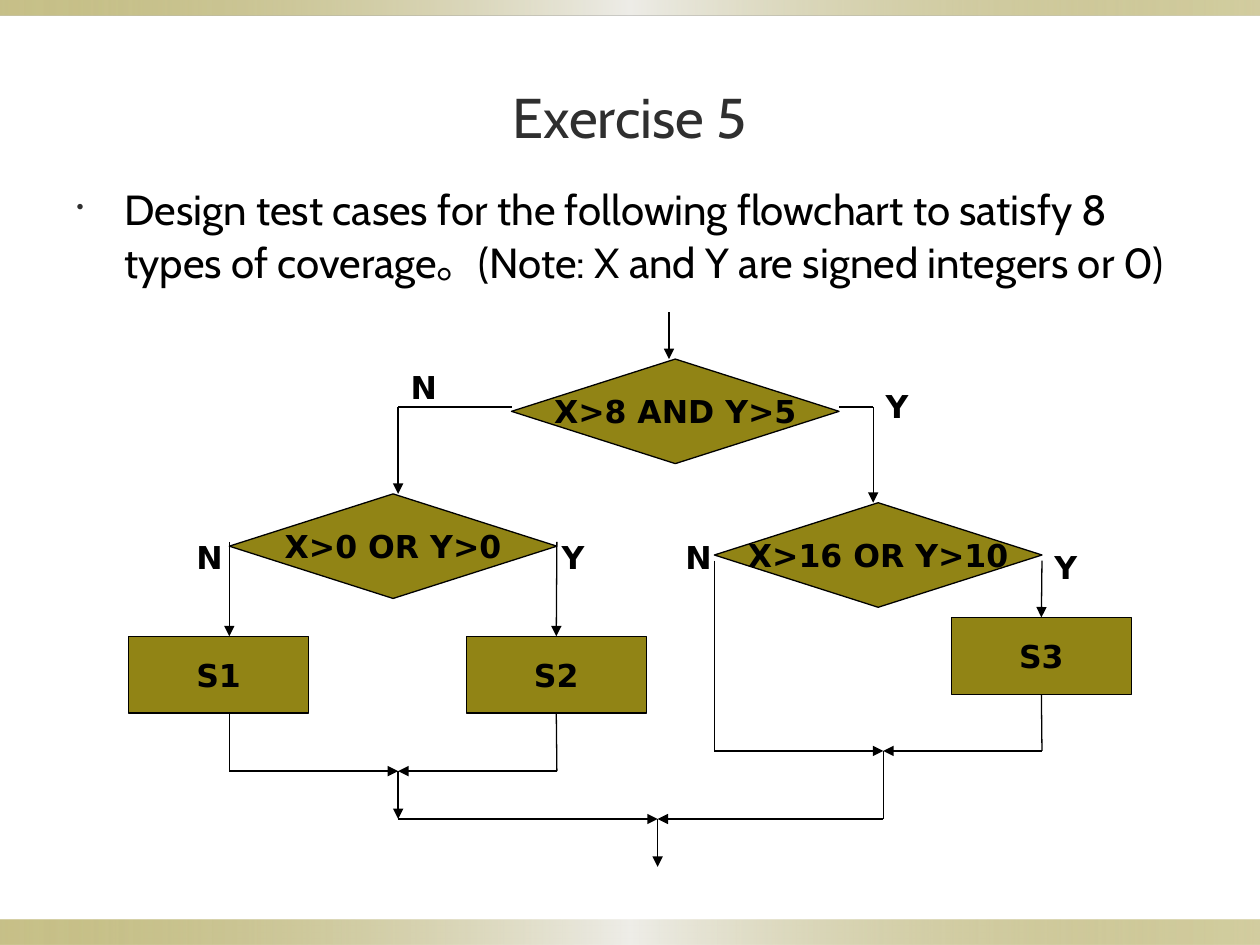
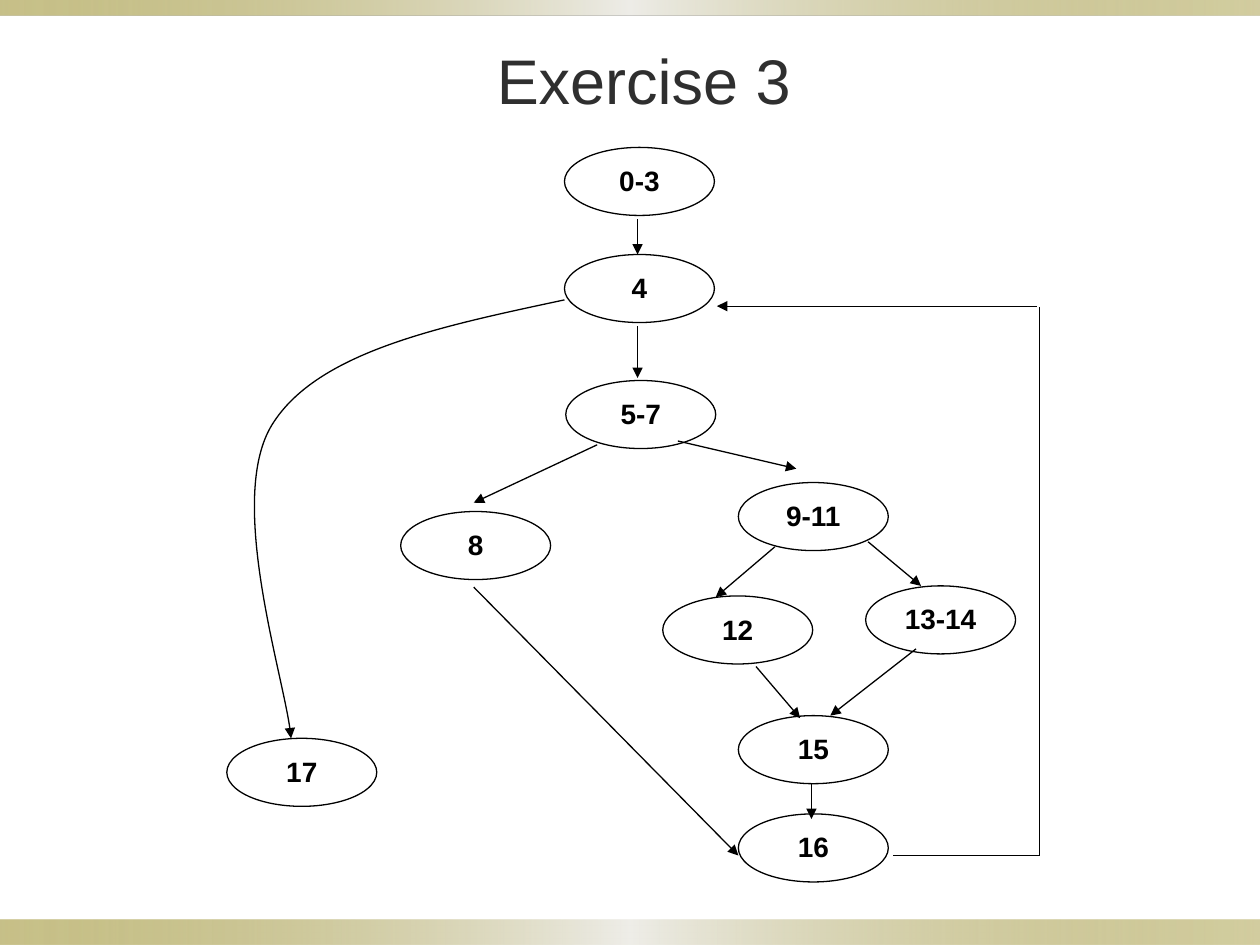
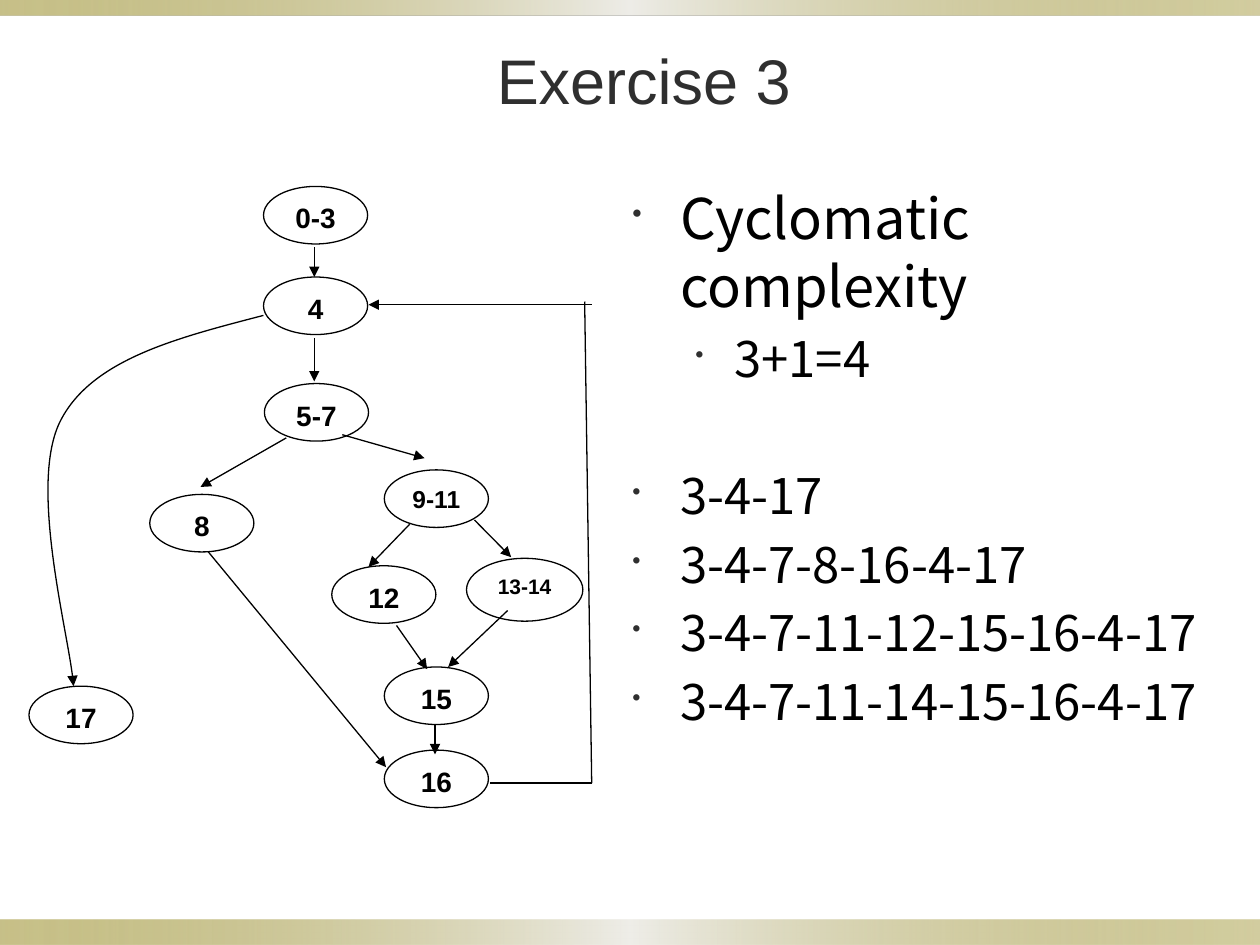
import dataclasses
import itertools

import lxml.etree
import pptx
import pptx.dml.color
import pptx.enum.shapes
import pptx.enum.text
import pptx.oxml
import pptx.oxml.ns
import pptx.util

Inches = pptx.util.Inches
Pt = pptx.util.Pt
qn = pptx.oxml.ns.qn
Shape = pptx.enum.shapes.MSO_SHAPE
Align = pptx.enum.text.PP_ALIGN
Anchor = pptx.enum.text.MSO_ANCHOR


@dataclasses.dataclass(frozen=True)
class Theme:
    gold: str = "918415"
    pale: str = "EEEDE8"
    gray: str = "2F2F2F"
    black: str = "000000"
    white: str = "FFFFFF"
    head: str = "Arial"
    soft: str = "Cabin"
    flow: str = "DejaVu Sans"
    wide: str = "Noto Sans CJK SC"
    rule: float = 0.75
    title: int = 36
    lead: int = 32
    item: int = 28
    note: int = 24
    step: int = 18
    node: int = 16


LOOK = Theme()

# Control-flow graph, in inches from its top left corner at full size
SPAN = (6.45, 5.83)
OVAL = (1.19, 0.54)
NODES = {
    "0-3": (2.68, 0), "4": (2.68, 0.85), "5-7": (2.69, 1.85),
    "8": (1.38, 2.89), "9-11": (4.06, 2.66), "12": (3.46, 3.56),
    "13-14": (5.07, 3.48), "15": (4.06, 4.51), "16": (4.06, 5.29),
    "17": (0, 4.69),
}
EDGES = [
    ((3.26, 0.57), (3.26, 0.85)),
    ((3.26, 1.42), (3.26, 1.83)),
    ((2.94, 2.36), (1.96, 2.82)),
    ((3.58, 2.33), (4.52, 2.55)),
    ((4.35, 3.17), (3.88, 3.57)),
    ((5.09, 3.13), (5.51, 3.48)),
    ((4.2, 4.12), (4.55, 4.53)),
    ((5.47, 3.98), (4.79, 4.51)),
    ((4.64, 5.05), (4.64, 5.33)),
]
EXIT = [(2.68, 1.21), (1.7, 1.42), (0.72, 1.62), (0.36, 2.2),
        (0, 2.78), (0.48, 4.28), (0.51, 4.69)]

# Flowchart, in inches from its top left corner
TESTS = {"X>8 AND Y>5": (3.04, 0.37), "X>0 OR Y>0": (0.8, 1.44),
         "X>16 OR Y>10": (4.65, 1.51)}
STEPS = {"S1": (0, 2.57), "S2": (2.68, 2.57), "S3": (6.53, 2.42)}
STEP = (1.43, 0.61)
SIGNS = [("N", 2.14, 0.39), ("Y", 5.91, 0.54), ("N", 0.44, 1.74),
         ("Y", 3.34, 1.74), ("N", 4.32, 1.74), ("Y", 7.25, 1.82)]
ROUTES = [
    [(4.29, 0), (4.29, 0.37)],
    [(3.04, 0.75), (2.14, 0.75), (2.14, 1.44)],
    [(5.64, 0.75), (5.91, 0.75), (5.91, 1.51)],
    [(0.8, 1.82), (0.8, 2.57)],
    [(3.4, 1.82), (3.4, 2.57)],
    [(7.25, 1.97), (7.25, 2.42)],
    [(0.8, 3.18), (0.8, 3.64), (2.14, 3.64)],
    [(3.4, 3.18), (3.4, 3.64), (2.14, 3.64)],
    [(4.65, 1.97), (4.65, 3.48), (5.99, 3.48)],
    [(7.25, 3.03), (7.25, 3.48), (5.99, 3.48)],
    [(2.14, 3.64), (2.14, 4.02)],
    [(2.14, 4.02), (4.2, 4.02)],
    [(5.99, 3.48), (5.99, 4.02), (4.2, 4.02)],
    [(4.2, 4.02), (4.2, 4.4)],
]


def rgb(code):
    return pptx.dml.color.RGBColor.from_string(code)


def style(para, face, size, color=LOOK.black, bold=False):
    for run in para.runs:
        font = run.font
        font.name, font.size, font.bold = face, Pt(size), bold
        font.color.rgb = rgb(color)
        east = lxml.etree.SubElement(run._r.get_or_add_rPr(), qn("a:ea"))
        east.set("typeface", LOOK.wide)


def write(shape, text, face, size, color=LOOK.black, bold=False,
          wrap=False, anchor=Anchor.MIDDLE, align=Align.CENTER):
    frame = shape.text_frame
    frame.text = text
    frame.word_wrap = wrap
    frame.vertical_anchor = anchor
    frame.paragraphs[0].alignment = align
    style(frame.paragraphs[0], face, size, color, bold)


def stroke(shape, arrow=False):
    shape.line.color.rgb = rgb(LOOK.black)
    shape.line.width = Pt(LOOK.rule)
    if arrow:
        line = shape._element.spPr.find(qn("a:ln"))
        lxml.etree.SubElement(line, qn("a:tailEnd")).set("type", "triangle")


def block(slide, kind, box, fill):
    shape = slide.shapes.add_shape(kind, *map(Inches, box))
    shape.shadow.inherit = False
    shape.fill.solid()
    shape.fill.fore_color.rgb = rgb(fill)
    stroke(shape)
    return shape


def link(slide, start, end, arrow=True):
    kind = pptx.enum.shapes.MSO_CONNECTOR.STRAIGHT
    line = slide.shapes.add_connector(kind, *map(Inches, (*start, *end)))
    stroke(line, arrow)
    lxml.etree.SubElement(line._element.spPr, qn("a:effectLst"))
    return line


def bands(slide):
    """Gold bands along the top and bottom edges."""
    grad = (
        f'<a:gradFill {pptx.oxml.ns.nsdecls("a")} rotWithShape="1"><a:gsLst>'
        f'<a:gs pos="0"><a:srgbClr val="{LOOK.gold}"><a:alpha val="50000"/></a:srgbClr></a:gs>'
        f'<a:gs pos="50000"><a:srgbClr val="{LOOK.pale}"/></a:gs>'
        f'<a:gs pos="100000"><a:srgbClr val="{LOOK.gold}"><a:alpha val="40000"/></a:srgbClr></a:gs>'
        '</a:gsLst><a:lin ang="0" scaled="0"/></a:gradFill>')
    for top, high in ((7.3, 0.2), (0, 0.12)):
        band = slide.shapes.add_shape(
            Shape.RECTANGLE, *map(Inches, (0, top, 10, high)))
        band.shadow.inherit = False
        band.line.fill.background()
        band._element.spPr.insert(2, pptx.oxml.parse_xml(grad))


def title(slide, text, box=(0.86, 0.16, 8.5, 0.94), face=LOOK.head,
          size=LOOK.title):
    area = slide.shapes.add_textbox(*map(Inches, box))
    write(area, text, face, size, LOOK.gray, wrap=True)


def bullets(slide, box, face, items, pitch):
    """List of (text, size, level, space before); pitch maps size to line spacing."""
    frame = slide.shapes.add_textbox(*map(Inches, box)).text_frame
    frame.word_wrap = True
    for place, (text, size, level, gap) in enumerate(items):
        para = frame.add_paragraph() if place else frame.paragraphs[0]
        para.text = text
        left, hang = ((0.38, 0.38), (0.81, 0.31))[level]
        props = para._p.get_or_add_pPr()
        props.set("marL", str(Inches(left)))
        props.set("indent", str(-Inches(hang)))
        tint = lxml.etree.SubElement(props, qn("a:buClr"))
        lxml.etree.SubElement(tint, qn("a:srgbClr")).set("val", LOOK.gray)
        lxml.etree.SubElement(props, qn("a:buSzPct")).set("val", "50000")
        lxml.etree.SubElement(props, qn("a:buChar")).set("char", "•")
        para.level = level
        para.line_spacing = pitch(size)
        if place:
            para.space_before = Pt(gap)
        style(para, face, size)


def chart(slide, left, top):
    """Flowchart with decisions, steps and branch signs."""
    def shift(point):
        return left + point[0], top + point[1]

    for text, spot in TESTS.items():
        test = block(slide, Shape.FLOWCHART_DECISION,
                     (*shift(spot), 2.6, 0.83), LOOK.gold)
        write(test, text, LOOK.flow, LOOK.step, bold=True)

    # Steps, with the points where a line may join them
    joins = []
    for text, (x, y) in STEPS.items():
        step = block(slide, Shape.RECTANGLE, (*shift((x, y)), *STEP), LOOK.gold)
        write(step, text, LOOK.flow, LOOK.step, bold=True)
        mid = x + STEP[0] / 2
        joins += [(step, 0, mid, y), (step, 2, mid, y + STEP[1])]

    for route in ROUTES:
        for start, end in itertools.pairwise(route):
            line = link(slide, shift(start), shift(end), end == route[-1])
            for step, site, x, y in joins:
                for point, join in ((start, line.begin_connect),
                                    (end, line.end_connect)):
                    if abs(point[0] - x) < 0.02 and abs(point[1] - y) < 0.02:
                        join(step, site)

    for text, x, y in SIGNS:
        sign = slide.shapes.add_textbox(
            *map(Inches, (*shift((x, y)), 0.41, 0.42)))
        write(sign, text, LOOK.flow, LOOK.step, bold=True,
              anchor=Anchor.TOP, align=Align.LEFT)


def curve(slide, points):
    """Arrow of cubic curves: a start point, then three points each."""
    spots = [(Inches(x), Inches(y)) for x, y in points]
    draft = slide.shapes.build_freeform(*spots[0])
    draft.add_line_segments(spots[1:], close=False)
    shape = draft.convert_to_shape()
    shape.shadow.inherit = False
    shape.fill.background()
    stroke(shape, True)
    trace = next(shape._element.iter(qn("a:path")))
    legs = trace.findall(qn("a:lnTo"))
    for first in range(0, len(legs), 3):
        bend = lxml.etree.SubElement(trace, qn("a:cubicBezTo"))
        for leg in legs[first:first + 3]:
            bend.append(leg[0])
            trace.remove(leg)


def graph(slide, box, skip, back, sizes=None, ovals=None):
    """Control-flow graph scaled to the box; skip and back are its long edges."""
    left, top, width, height = box
    wide, high = width / SPAN[0], height / SPAN[1]

    def fit(point):
        return left + point[0] * wide, top + point[1] * high

    for text, spot in NODES.items():
        x, y, w, h = (ovals or {}).get(text, (*spot, *OVAL))
        node = block(slide, Shape.OVAL, (*fit((x, y)), w * wide, h * high),
                     LOOK.white)
        write(node, text, LOOK.head, (sizes or {}).get(text, LOOK.node),
              bold=True, anchor=Anchor.TOP)

    for start, end in [*EDGES, skip]:
        link(slide, fit(start), fit(end))
    for start, end in back:
        link(slide, fit(start), fit(end), end == back[-1][1])
    curve(slide, [fit(point) for point in EXIT])


def main():
    deck = pptx.Presentation()
    deck.slide_width, deck.slide_height = Inches(10), Inches(7.5)
    slides = [deck.slides.add_slide(deck.slide_layouts[6]) for _ in range(3)]
    for slide in slides:
        bands(slide)
    task, plain, solved = slides

    # Flowchart task
    title(task, "Exercise 5", (0.5, 0.3, 9, 1.25), LOOK.soft, LOOK.lead)
    bullets(task, (0.51, 1.39, 9, 5.51), LOOK.soft, [
        ("Design test cases for the following flowchart to satisfy 8 types of "
         "coverage。(Note: X and Y are signed integers or 0)", LOOK.note, 0, 0),
    ], lambda size: 1.05)
    chart(task, 1.02, 2.48)

    # Full-size graph
    title(plain, "Exercise 3")
    graph(plain, (1.8, 1.17, *SPAN),
          skip=((1.96, 3.49), (4.06, 5.62)),
          back=[((5.29, 5.62), (6.45, 5.62)), ((6.45, 5.62), (6.45, 1.27)),
                ((6.43, 1.26), (3.89, 1.26))])

    # Small graph with its paths
    title(solved, "Exercise 3")
    gap = LOOK.item * 0.2
    paths = ["3-4-7-8-16-4-17", "3-4-7-11-12-15-16-4-17",
             "3-4-7-11-14-15-16-4-17"]
    bullets(solved, (4.92, 1.41, 5.08, 5.17), LOOK.wide, [
        ("Cyclomatic complexity", LOOK.lead, 0, 0),
        ("3+1=4", LOOK.item, 1, gap),
        ("3-4-17", LOOK.item, 0, 45),
        *((text, LOOK.item, 0, gap) for text in paths),
    ], lambda size: Pt(size * 1.2))
    graph(solved, (0.23, 1.48, 4.48, 4.93),
          skip=((2.05, 3.43), (4.08, 5.45)),
          back=[((5.27, 5.6), (6.43, 5.6)), ((6.43, 5.6), (6.35, 1.08)),
                ((6.43, 1.11), (3.88, 1.11))],
          sizes={"9-11": 14, "13-14": 12},
          ovals={"13-14": (5, 3.49, 1.33, 0.59)})

    deck.save("out.pptx")


if __name__ == "__main__":
    main()
